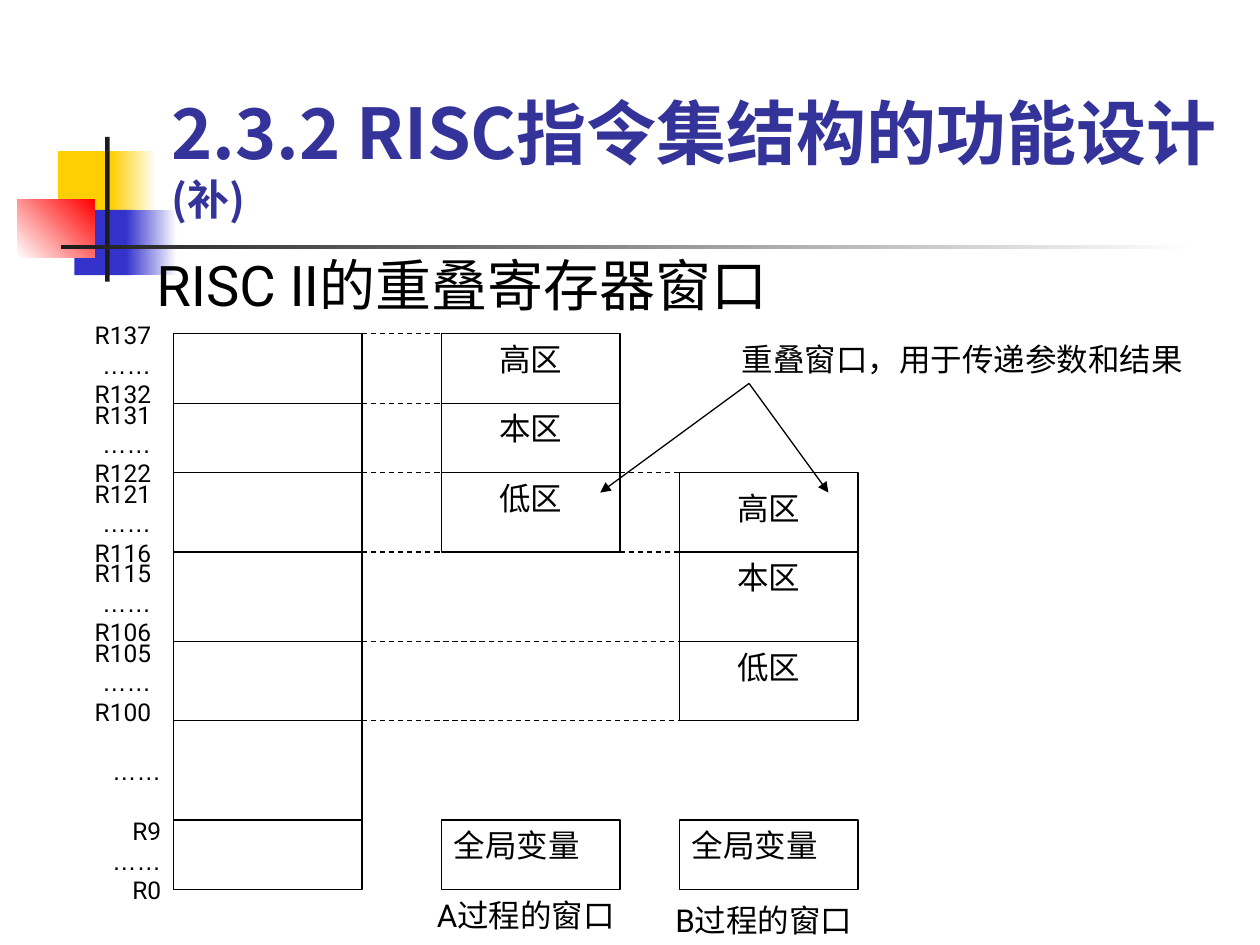
from lxml import etree
from pptx import Presentation, util as u
from pptx.dml.color import RGBColor
from pptx.enum import dml, shapes, text
from pptx.oxml import ns

BLACK = "000000"
LEVELS = [6.73, 8.13, 9.53, 11.13, 12.93, 14.53, 16.53, 17.93]
MEMORY_LEFT, MEMORY_RIGHT = 3.5, 7.3
A_LEFT, B_LEFT, WINDOW_WIDTH = 8.9, 13.7, 3.6
A_RIGHT = A_LEFT + WINDOW_WIDTH
LEFT, CENTER, RIGHT = text.PP_ALIGN.LEFT, text.PP_ALIGN.CENTER, text.PP_ALIGN.RIGHT


def color(value):
    return RGBColor.from_string(value)


def box(left, top, width, height):
    return [u.Cm(value) for value in (left, top, width, height)]


class Diagram:
    font = "Roboto"
    line_width = u.Pt(0.75)

    def __init__(self, slide):
        self.slide = slide

    def style(self, run, size, font=None, fill=BLACK, bold=False):
        run.font.size = u.Pt(size)
        run.font.bold = bold
        run.font.color.rgb = color(fill)
        run.font.name = font or self.font
        east_asian = etree.SubElement(run.font._element, ns.qn("a:ea"))
        east_asian.set("typeface", "Noto Sans CJK SC")

    def placeholder(self, shape, bounds, anchor):
        shape.left, shape.top, shape.width, shape.height = box(*bounds)
        frame = shape.text_frame
        frame.word_wrap = True
        frame.auto_size = text.MSO_AUTO_SIZE.NONE
        frame.vertical_anchor = anchor
        return frame.paragraphs[0]

    def title(self, heading, suffix):
        paragraph = self.placeholder(
            self.slide.shapes.title, (3.2, 2.77, 21.64, 1.88), text.MSO_ANCHOR.BOTTOM)
        paragraph.alignment = LEFT
        for words, size in ((heading, 40), (suffix, 24)):
            run = paragraph.add_run()
            run.text = words
            self.style(run, size, "Noto Sans CJK SC", "333399", True)

    def body(self, words):
        paragraph = self.placeholder(
            self.slide.placeholders[1], (2.9, 4.93, 14.6, 1.73), text.MSO_ANCHOR.TOP)
        paragraph.text = words
        paragraph.space_before = u.Pt(0)
        properties = paragraph._p.get_or_add_pPr()
        properties.set("marL", str(u.Cm(0.95)))
        properties.set("indent", str(u.Cm(-0.95)))
        etree.SubElement(properties, ns.qn("a:buNone"))
        self.style(paragraph.runs[0], 32)

    def rectangle(self, *bounds):
        shape = self.slide.shapes.add_shape(shapes.MSO_SHAPE.RECTANGLE, *box(*bounds))
        shape.shadow.inherit = False
        return shape

    def ornament(self, bounds, start, end=None, angle=0):
        shape = self.rectangle(*bounds)
        self.slide.shapes.title._element.addprevious(shape._element)
        shape.line.fill.background()
        if end is None:
            shape.fill.solid()
            shape.fill.fore_color.rgb = color(start)
            return
        shape.fill.gradient()
        shape.fill.gradient_angle = angle
        for stop, value, position in zip(shape.fill.gradient_stops, (start, end), (0, 1)):
            stop.color.rgb = color(value)
            stop.position = position

    def frame(self, left, top, right, bottom):
        shape = self.rectangle(left, top, right - left, bottom - top)
        shape.fill.background()
        shape.line.color.rgb = color(BLACK)
        shape.line.width = self.line_width

    def line(self, x1, y1, x2, y2, dashed=False, arrow=False):
        connector = self.slide.shapes.add_connector(
            shapes.MSO_CONNECTOR.STRAIGHT, *box(x1, y1, x2, y2))
        connector.line.color.rgb = color(BLACK)
        connector.line.width = self.line_width
        if dashed:
            connector.line.dash_style = dml.MSO_LINE.DASH
        if arrow:
            tail = etree.SubElement(connector.line._get_or_add_ln(), ns.qn("a:tailEnd"))
            tail.set("type", "triangle")
        etree.SubElement(connector._element.spPr, ns.qn("a:effectLst"))

    def label(self, words, left, top, width, height=1.02, size=18, alignment=CENTER):
        shape = self.slide.shapes.add_textbox(*box(left, top, width, height))
        shape.text_frame.word_wrap = True
        shape.text_frame.text = words
        for paragraph in shape.text_frame.paragraphs:
            paragraph.alignment = alignment
            for run in paragraph.runs:
                self.style(run, size, "Arial" if run.text == "……" else None)

    def registers(self, words, left, top, height=2.03):
        self.label(words, left, top, 2.4, height, 14, RIGHT)


def main():
    presentation = Presentation()
    presentation.slide_width, presentation.slide_height = u.Cm(25.4), u.Cm(19.05)
    diagram = Diagram(presentation.slides.add_slide(presentation.slide_layouts[1]))

    diagram.ornament((1.17, 3.05, 1.22, 1.32), "FFCF01")
    diagram.ornament((2.24, 3.05, 0.91, 1.32), "FFCF01", "FFFFFF")
    diagram.ornament((1.5, 4.23, 1.17, 1.32), "3333CC")
    diagram.ornament((2.54, 4.23, 1.02, 1.32), "3333CC", "FFFFFF")
    diagram.ornament((0.35, 4.02, 1.55, 1.17), "FFFFFF", "FF0000", 45)
    diagram.ornament((2.12, 2.76, 0.09, 2.92), "1C1C1C")
    diagram.ornament((1.23, 4.94, 22.86, 0.09), "1C1C1C", "FFFFFF")
    diagram.title("2.3.2 RISC指令集结构的功能设计", "(补)")
    diagram.body("RISC Ⅱ的重叠寄存器窗口")

    diagram.frame(MEMORY_LEFT, LEVELS[0], MEMORY_RIGHT, LEVELS[-1])
    for level in LEVELS[1:-1]:
        diagram.line(MEMORY_LEFT, level, MEMORY_RIGHT, level)
    ranges = [(137, 132), (131, 122), (121, 116), (115, 106), (105, 100)]
    for index, (high, low) in enumerate(ranges):
        diagram.registers(f"R{high}\n……\nR{low}", 0.9, 6.33 + 1.6 * index)
    diagram.registers("……", 1.1, 15.11, 0.85)
    diagram.registers("R9\n……\nR0", 1.1, 16.33)

    windows = [("A", A_LEFT, 0, 8.3, 17.93, 0), ("B", B_LEFT, 2, 13.1, 18.03, 0.2)]
    for name, left, first, caption_left, caption_top, shift in windows:
        right = left + WINDOW_WIDTH
        diagram.frame(left, LEVELS[first], right, LEVELS[first + 3])
        for level in LEVELS[first + 1:first + 3]:
            diagram.line(left, level, right, level)
        for zone, level, offset in zip(("高区", "本区", "低区"), LEVELS[first:], (shift, 0, 0)):
            diagram.label(zone, left, level + offset, WINDOW_WIDTH)
        diagram.frame(left, LEVELS[-2], right, LEVELS[-1])
        diagram.label("全局变量", left, LEVELS[-2], WINDOW_WIDTH, alignment=LEFT)
        diagram.label(f"{name}过程的窗口", caption_left, caption_top, 4.6)

    for level in LEVELS[:4]:
        diagram.line(MEMORY_RIGHT, level, A_LEFT, level, dashed=True)
    for level in LEVELS[2:4]:
        diagram.line(A_RIGHT, level, B_LEFT, level, dashed=True)
    for level in LEVELS[4:6]:
        diagram.line(MEMORY_RIGHT, level, B_LEFT, level, dashed=True)

    diagram.label("重叠窗口，用于传递参数和结果", 14.7, LEVELS[0], 9.8, alignment=LEFT)
    for target in (12.1, 16.7):
        diagram.line(15.1, 7.73, target, 9.93, arrow=True)

    presentation.save("out.pptx")


if __name__ == "__main__":
    main()
